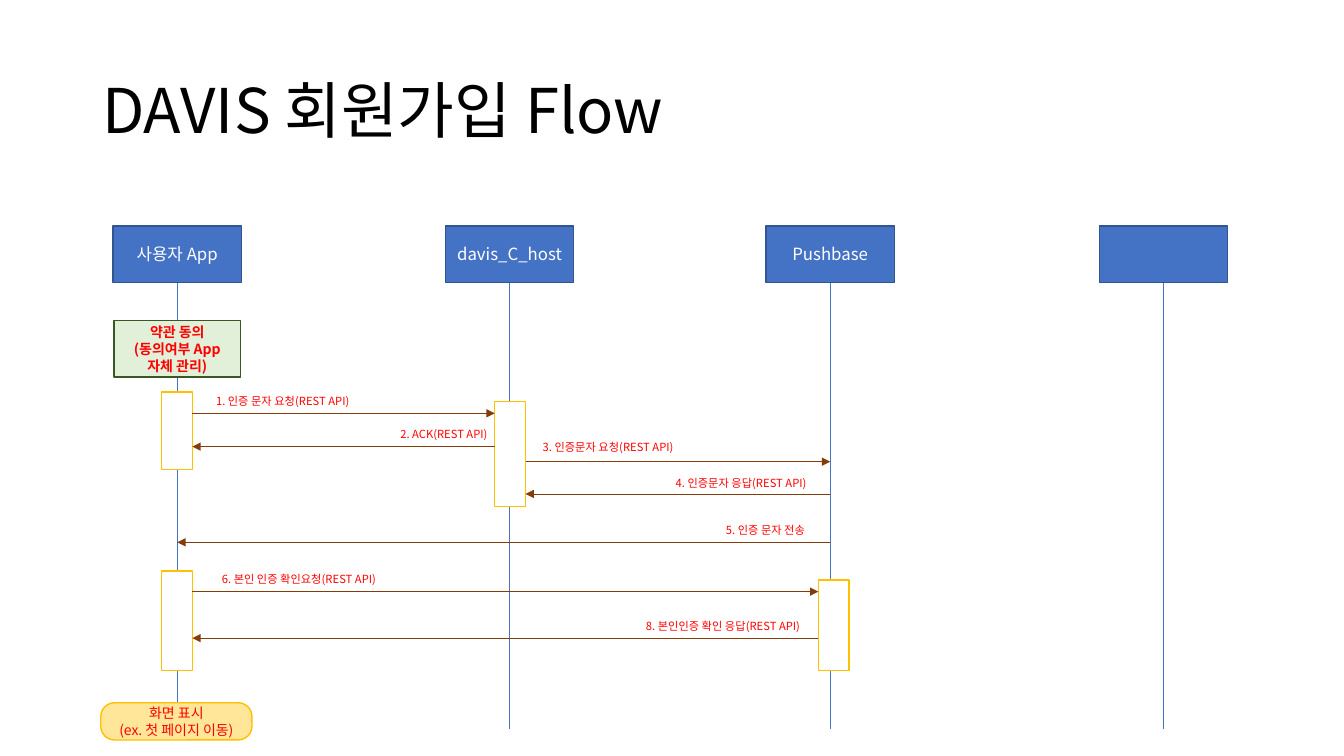
from pptx import Presentation
from pptx.dml.color import RGBColor
from pptx.enum.shapes import MSO_CONNECTOR as Link, MSO_SHAPE as Form
from pptx.enum.text import MSO_ANCHOR as Anchor, PP_ALIGN as Align
from pptx.oxml.ns import qn
from pptx.util import Pt
from lxml.etree import SubElement as Sub

FACE = "Noto Sans CJK KR"
BLUE, NAVY, GOLD, BROWN = "4472C4", "325491", "FFC000", "843C0B"
RED, WHITE = "FF0000", "FFFFFF"


def tint(code):
    """Turn a hex string into a colour."""
    return RGBColor.from_string(code)


class Chart:
    """Hold the style and the current slide of the sequence diagram."""

    def __init__(self, slide, face):
        """Keep the slide and the font face."""
        self.slide, self.face = slide, face

    def words(self, frame, text, color, align=Align.CENTER, space=None, **font):
        """Fill a text frame, one paragraph per line of text."""
        frame.word_wrap = True
        frame.vertical_anchor = Anchor.MIDDLE
        for i, line in enumerate(text.split("\n")):
            para = frame.add_paragraph() if i else frame.paragraphs[0]
            para.alignment = align
            para.line_spacing = space
            run = para.add_run()
            run.text = line
            run.font.color.rgb = tint(color)
            for key, value in {"name": self.face, **font}.items():
                setattr(run.font, key, value)
            Sub(run._r.get_or_add_rPr(), qn("a:ea"), typeface=self.face)

    def label(self, area, text, color, **style):
        """Add a plain text box."""
        box = self.slide.shapes.add_textbox(*map(Pt, area))
        self.words(box.text_frame, text, color, **style)

    def box(self, area, fill, edge, text="", color=WHITE, bend=None, **style):
        """Add a filled box, rounded when bend is given."""
        form = Form.RECTANGLE if bend is None else Form.ROUNDED_RECTANGLE
        shape = self.slide.shapes.add_shape(form, *map(Pt, area))
        if bend is not None:
            shape.adjustments[0] = bend
        shape.shadow.inherit = False
        shape.fill.solid()
        shape.fill.fore_color.rgb = tint(fill)
        shape.line.color.rgb = tint(edge)
        shape.line.width = Pt(1)
        if text:
            self.words(shape.text_frame, text, color, **style)

    def line(self, start, end, color, arrow=False):
        """Add a thin straight line, with an arrowhead at its end if asked."""
        link = self.slide.shapes.add_connector(
            Link.STRAIGHT, *map(Pt, (*start, *end)))
        link.line.color.rgb = tint(color)
        link.line.width = Pt(0.5)
        props = link._element.spPr
        if arrow:
            Sub(props.find(qn("a:ln")), qn("a:tailEnd"), type="triangle")
        Sub(props, qn("a:effectLst"))


deck = Presentation()
deck.slide_width, deck.slide_height = Pt(960), Pt(540)
flow = Chart(deck.slides.add_slide(deck.slide_layouts[6]), FACE)

flow.label((66, 28.8, 828, 104.4), "DAVIS 회원가입 Flow", "000000",
           align=Align.LEFT, space=0.9, size=Pt(44))

# Actors and their lifelines
APP, HOST, BASE, SPARE = 126.6, 364, 593, 831
WIDE, TOP, TALL, FOOT = 91.6, 161.4, 40.4, 520.6
actors = {APP: "사용자 App", HOST: "davis_C_host", BASE: "Pushbase", SPARE: ""}
for mid, name in actors.items():
    flow.line((mid, TOP + TALL), (mid, FOOT), BLUE)
    flow.box((mid - WIDE / 2, TOP, WIDE, TALL), BLUE, NAVY, name, size=Pt(12))

# App steps
flow.box((81.4, 229, 90.4, 40.4), "E2F0D9", "385723",
         "약관 동의\n(동의여부 App 자체 관리)", RED, size=Pt(10), bold=True)
flow.box((72, 502, 108, 26.6), "FFE699", GOLD,
         "화면 표시\n(ex. 첫 페이지 이동)", RED, bend=0.37, size=Pt(10))

# Activation bars: left, top, height
BAR = 22
app, host, base = 115.4, 353.4, 584.6
bars = [(app, 280, 55.4), (host, 286.8, 74.8),
        (app, 407.8, 71.2), (base, 414.2, 64.8)]
for left, top, tall in bars:
    flow.box((left, top, BAR, tall), WHITE, GOLD)

# Messages: text, sender x, receiver x, line y, label left, top, width
notes = [
    ("1. 인증 문자 요청(REST API)", app + BAR, host, 295.2, 142, 271.4, 120),
    ("2. ACK(REST API)", host, app + BAR, 319, 266.4, 295.2, 101.6),
    ("3. 인증문자 요청(REST API)", host + BAR, BASE, 329.8, 374.4, 304, 120),
    ("4. 인증문자 응답(REST API)", BASE, host + BAR, 352.8, 469.4, 329.8, 120),
    ("5. 인증 문자 전송", BASE, APP, 387.4, 496, 363.6, 101.6),
    ("6. 본인 인증 확인요청(REST API)", app + BAR, base, 422.6, 142, 398.8, 143.2),
    ("8. 본인인증 확인 응답(REST API)", base, app + BAR, 455.8, 438.4, 432, 156.2),
]
for text, start, end, y, left, top, wide in notes:
    flow.line((start, y), (end, y), BROWN, arrow=True)
    flow.label((left, top, wide, 30.2), text, RED, size=Pt(8))

deck.save("out.pptx")
